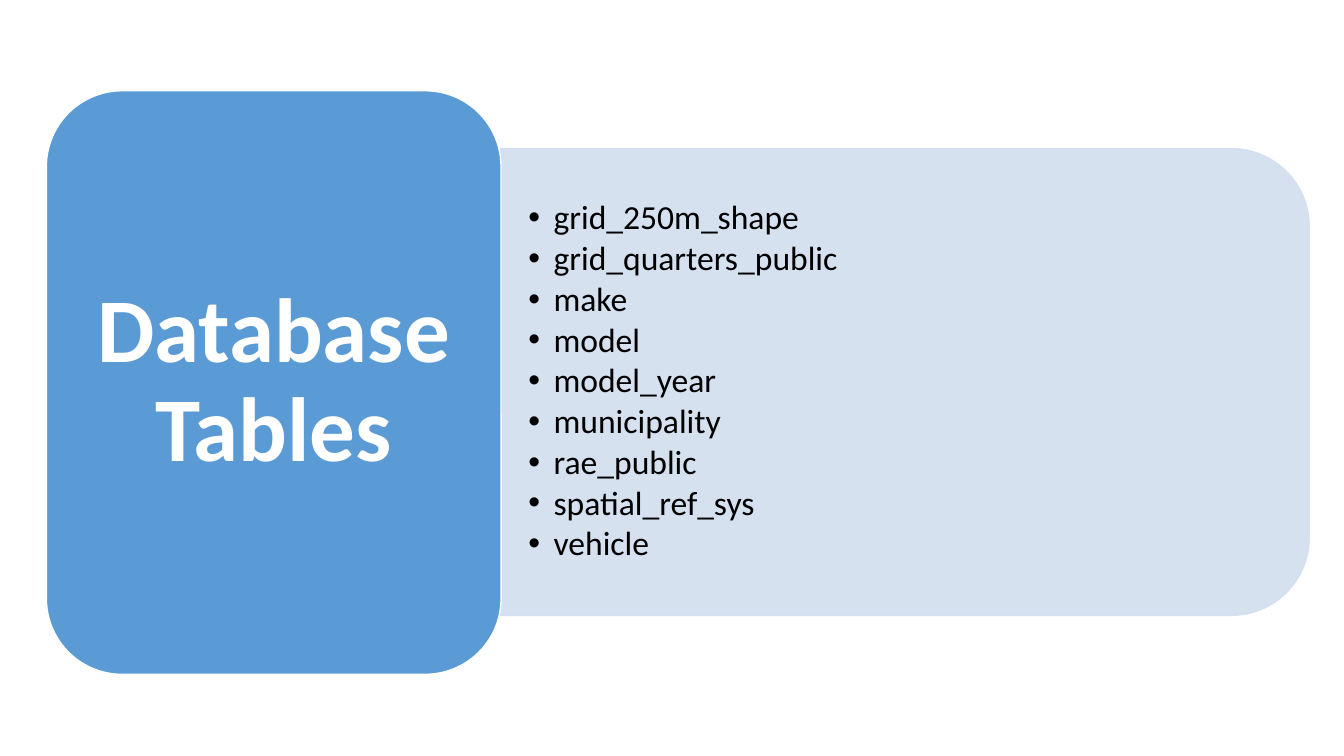
from pptx import Presentation
from pptx import util as u
from pptx.dml.color import RGBColor
from pptx.enum import shapes, text
from pptx.oxml.ns import qn
from lxml import etree

BLUE = RGBColor(0x5B, 0x9B, 0xD5)
PALE = RGBColor(0xD2, 0xDE, 0xEF)
WHITE = RGBColor(0xFF, 0xFF, 0xFF)
BLACK = RGBColor(0, 0, 0)
NAMES = ["grid_250m_shape", "grid_quarters_public", "make", "model", "model_year",
         "municipality", "rae_public", "spatial_ref_sys", "vehicle"]

deck = Presentation()
deck.slide_width, deck.slide_height = u.Inches(13.33), u.Inches(7.5)
slide = deck.slides.add_slide(deck.slide_layouts[1])
title, body = slide.placeholders
tree = slide.shapes._spTree

kinds = shapes.MSO_SHAPE
blocks = [
    (kinds.ROUNDED_RECTANGLE, (0.46, 0.9, 4.51, 5.79), 0, BLUE, WHITE),
    (kinds.ROUND_2_SAME_RECTANGLE, (6.66, -0.22, 4.63, 8.02), 90, PALE, PALE),
]
for kind, box, turn, fill, line in blocks:
    block = slide.shapes.add_shape(kind, *map(u.Inches, box))
    block.rotation = turn
    block.shadow.inherit = False
    block.fill.solid()
    block.fill.fore_color.rgb = fill
    block.line.color.rgb = line
    block.line.width = u.Pt(1)
    if fill == PALE:
        for tint in block._element.spPr.iter(qn("a:srgbClr")):
            etree.SubElement(tint, qn("a:alpha"), val="90000")
    tree.remove(block._element)
    tree.insert(2, block._element)

frame = {"margin_left": u.Inches(0.27), "margin_right": u.Inches(0.27),
         "margin_top": u.Inches(0.14), "margin_bottom": u.Inches(0.14),
         "word_wrap": True, "auto_size": text.MSO_AUTO_SIZE.NONE,
         "vertical_anchor": text.MSO_ANCHOR.MIDDLE}
parts = [
    (title, (0.68, 1.12, 4.07, 5.35), ["Database Tables"], WHITE,
     {"line_spacing": 0.9, "space_before": u.Pt(0), "alignment": text.PP_ALIGN.CENTER},
     {"name": "Calibri", "size": u.Pt(65), "bold": True}),
    (body, (4.97, 1.7, 7.79, 4.18), NAMES, BLACK,
     {"line_spacing": 0.9, "space_before": u.Pt(0), "space_after": u.Pt(3.2),
      "alignment": text.PP_ALIGN.LEFT, "level": 1},
     {"name": "Calibri", "size": u.Pt(24), "bold": False}),
]
for part, box, lines, color, para, font in parts:
    part.left, part.top, part.width, part.height = map(u.Inches, box)
    part.text_frame.text = "\n".join(lines)
    for key, value in frame.items():
        setattr(part.text_frame, key, value)
    for item in part.text_frame.paragraphs:
        for key, value in para.items():
            setattr(item, key, value)
        if part is body:
            props = item._p.get_or_add_pPr()
            props.set("marL", str(u.Inches(0.25)))
            props.set("indent", str(-u.Inches(0.25)))
            etree.SubElement(props, qn("a:buChar"), char="•")
        for key, value in font.items():
            setattr(item.font, key, value)
        item.font.color.rgb = color

deck.save("out.pptx")
